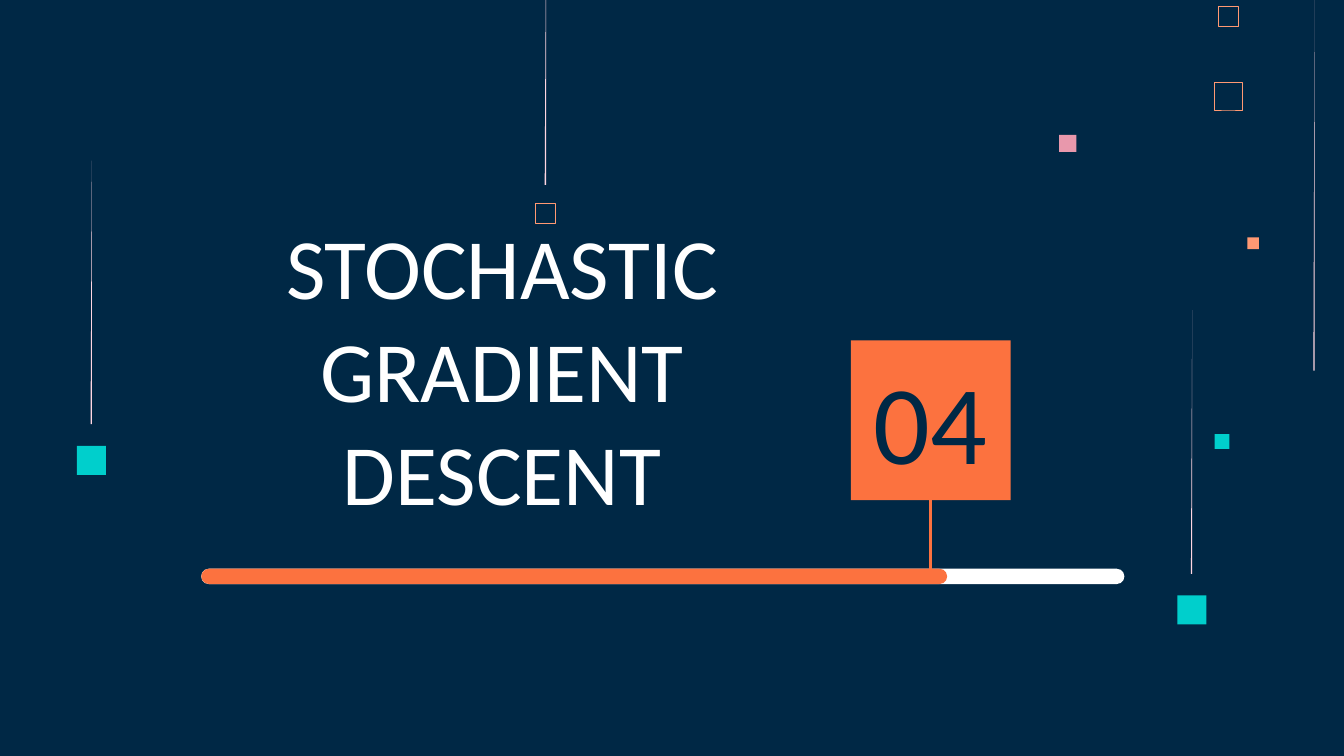
from pptx import Presentation
from pptx.dml.color import RGBColor
from pptx.enum.shapes import MSO_CONNECTOR as Connector, MSO_SHAPE as Shape
from pptx.enum.text import MSO_ANCHOR as Anchor, PP_ALIGN as Align
from pptx.oxml.ns import qn
from pptx.util import Pt
from lxml.etree import SubElement

NAVY = RGBColor(0x00, 0x28, 0x45)
WHITE = RGBColor(0xFF, 0xFF, 0xFF)
ORANGE = RGBColor(0xFC, 0x72, 0x3F)
PEACH = RGBColor(0xFF, 0x99, 0x73)
ROSE = RGBColor(0xE8, 0x98, 0xAC)
BLUSH = RGBColor(0xFF, 0xD6, 0xE1)
TEAL = RGBColor(0x00, 0xCF, 0xCC)

FONT = "Calibri"
STREAK_WIDTH = 0.72

FILLED_SQUARES = [
    (567.4, 72.2, 9.2, ROSE),
    (650.7, 232.6, 7.9, TEAL),
    (668.2, 127.2, 6.3, PEACH),
    (630.7, 319, 15.6, TEAL),
    (41.2, 238.9, 15.6, TEAL),
]
OUTLINED_SQUARES = [
    (650.6, 44.2, 14.8, 0.45),
    (652.7, 3.4, 10.6, 0.32),
    (287, 109, 10.6, 0.32),
]
STREAKS = [
    (291.8, -34.6, 99),
    (703.6, 0, 198.6),
    (638, 166.2, 307.4),
    (48.5, 86, 227.2),
]


def add_solid(page, kind, left, top, width, height, color):
    shape = page.shapes.add_shape(kind, Pt(left), Pt(top), Pt(width), Pt(height))
    shape.shadow.inherit = False
    shape.fill.solid()
    shape.fill.fore_color.rgb = color
    shape.line.fill.background()
    return shape


def add_outlined_square(page, left, top, side, weight):
    square = page.shapes.add_shape(Shape.RECTANGLE, Pt(left), Pt(top), Pt(side), Pt(side))
    square.shadow.inherit = False
    square.fill.background()
    square.line.color.rgb = PEACH
    square.line.width = Pt(weight)


def add_streak(page, left, top, bottom):
    right = left + STREAK_WIDTH
    builder = page.shapes.build_freeform(Pt(right), Pt(top))
    builder.add_line_segments([(Pt(left), Pt(bottom)), (Pt(right), Pt(bottom))], close=True)
    streak = builder.convert_to_shape()
    streak.shadow.inherit = False
    streak.fill.solid()
    streak.fill.fore_color.rgb = BLUSH
    streak.line.fill.background()


def add_text(page, text, left, top, width, height, size, color, anchor):
    box = page.shapes.add_textbox(Pt(left), Pt(top), Pt(width), Pt(height))
    frame = box.text_frame
    frame.word_wrap = True
    frame.vertical_anchor = anchor
    frame.margin_left = frame.margin_right = Pt(7.2)
    frame.margin_top = frame.margin_bottom = Pt(7.2)
    frame.text = text
    para = frame.paragraphs[0]
    para.alignment = Align.CENTER
    span = para.runs[0]
    span.font.name = FONT
    span.font.size = Pt(size)
    span.font.color.rgb = color


def add_bar(page, width, color):
    bar = add_solid(page, Shape.ROUNDED_RECTANGLE, 107.8, 304.7, width, 8.2, color)
    bar.adjustments[0] = 0.5


def add_stem(page, x, top, bottom):
    stem = page.shapes.add_connector(Connector.STRAIGHT, Pt(x), Pt(top), Pt(x), Pt(bottom))
    stem.line.color.rgb = ORANGE
    stem.line.width = Pt(1.5)
    SubElement(stem.element.spPr, qn("a:effectLst"))


def main():
    deck = Presentation()
    deck.slide_width, deck.slide_height = Pt(720), Pt(405)
    page = deck.slides.add_slide(deck.slide_layouts[6])
    page.background.fill.solid()
    page.background.fill.fore_color.rgb = NAVY

    for left, top, side, color in FILLED_SQUARES:
        add_solid(page, Shape.RECTANGLE, left, top, side, side, color)
    for square in OUTLINED_SQUARES:
        add_outlined_square(page, *square)
    for streak in STREAKS:
        add_streak(page, *streak)

    add_text(page, "STOCHASTIC GRADIENT DESCENT", 87.1, 210.2, 363.6, 77,
             46, WHITE, Anchor.BOTTOM)
    add_solid(page, Shape.RECTANGLE, 455.8, 182.4, 85.6, 85.6, ORANGE)
    add_text(page, "04", 460.1, 202.3, 77, 45.4, 60, NAVY, Anchor.MIDDLE)
    add_bar(page, 494.6, WHITE)
    add_bar(page, 399.6, ORANGE)
    add_stem(page, 498.6, 233.3, 310.3)

    deck.save("out.pptx")


if __name__ == "__main__":
    main()
